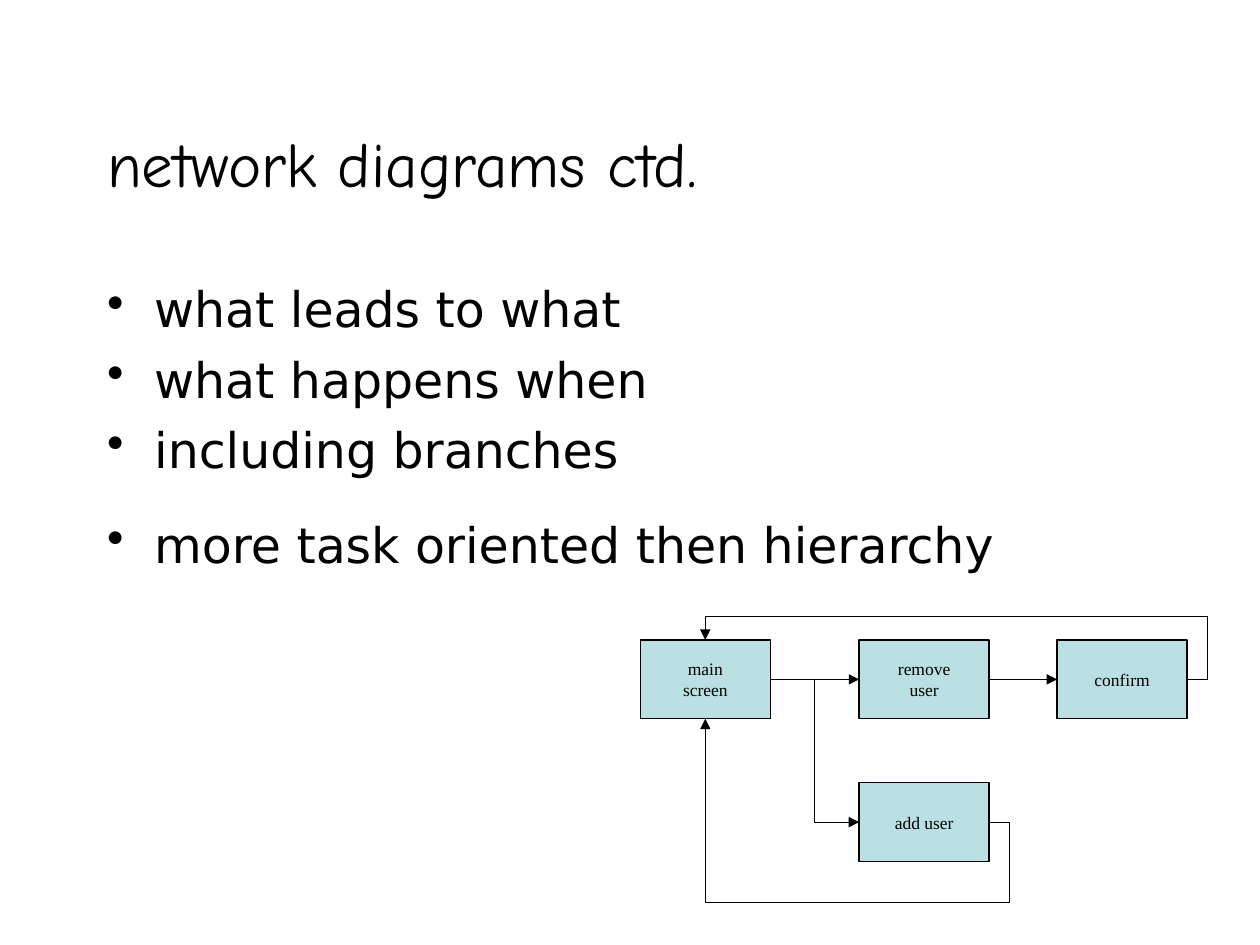
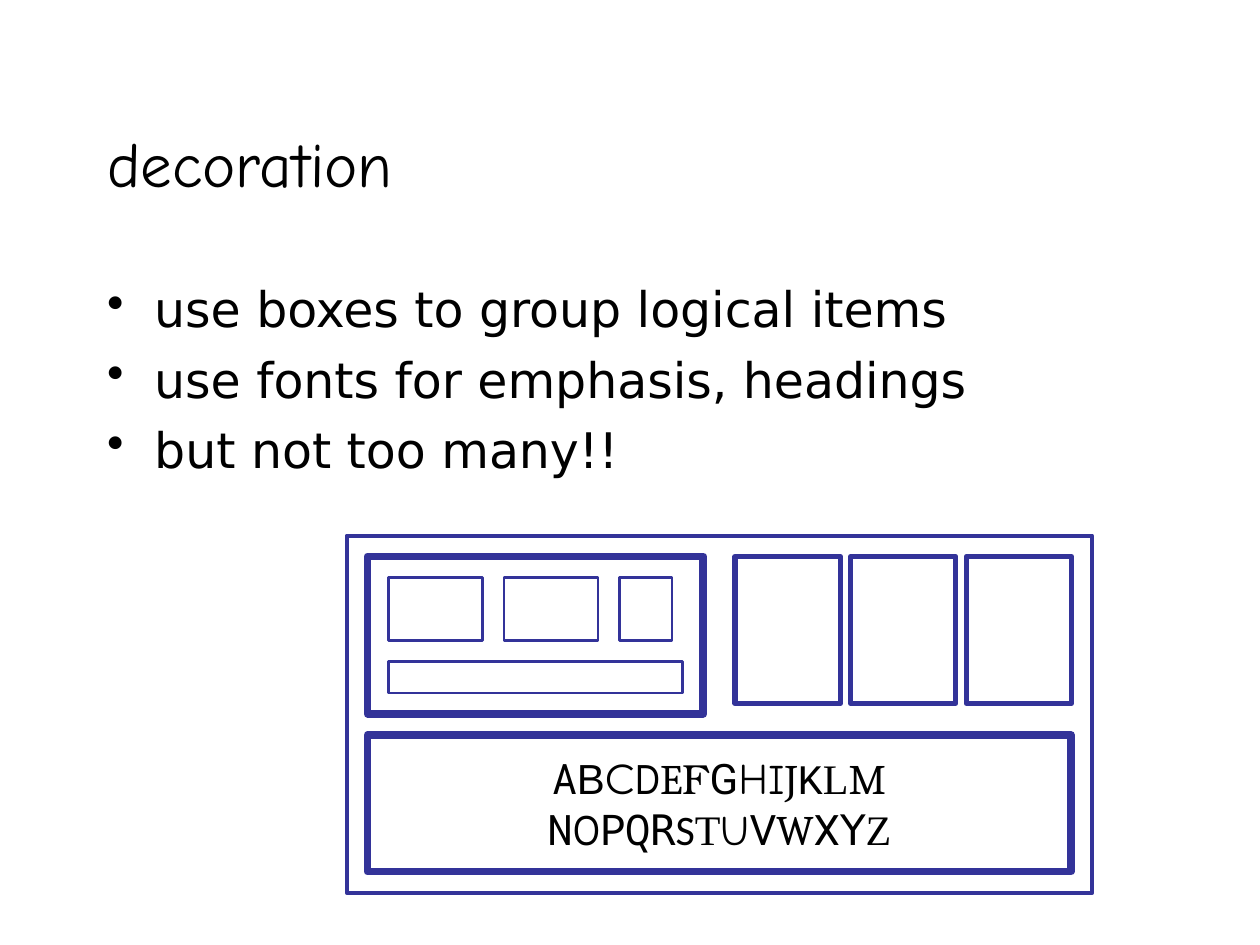
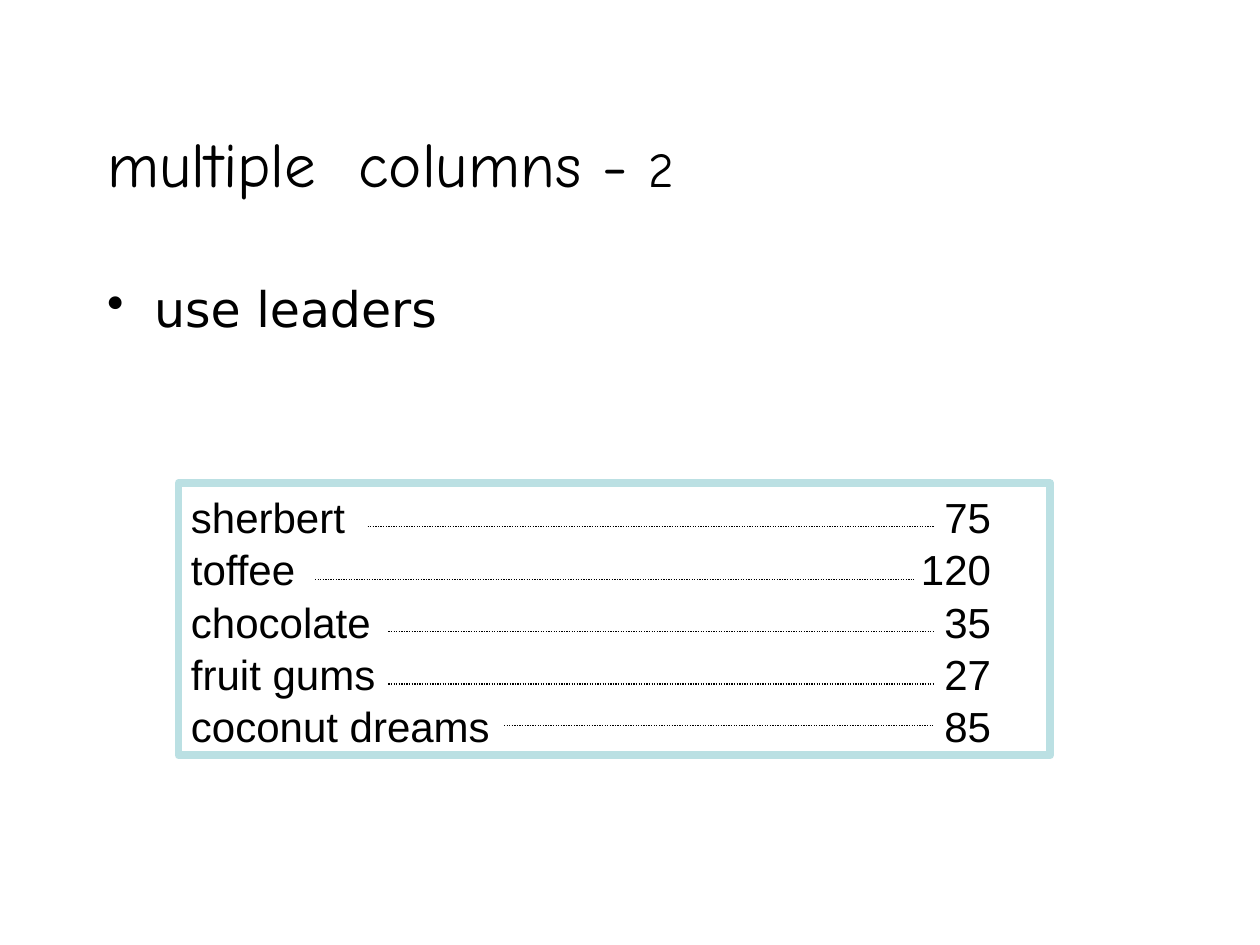
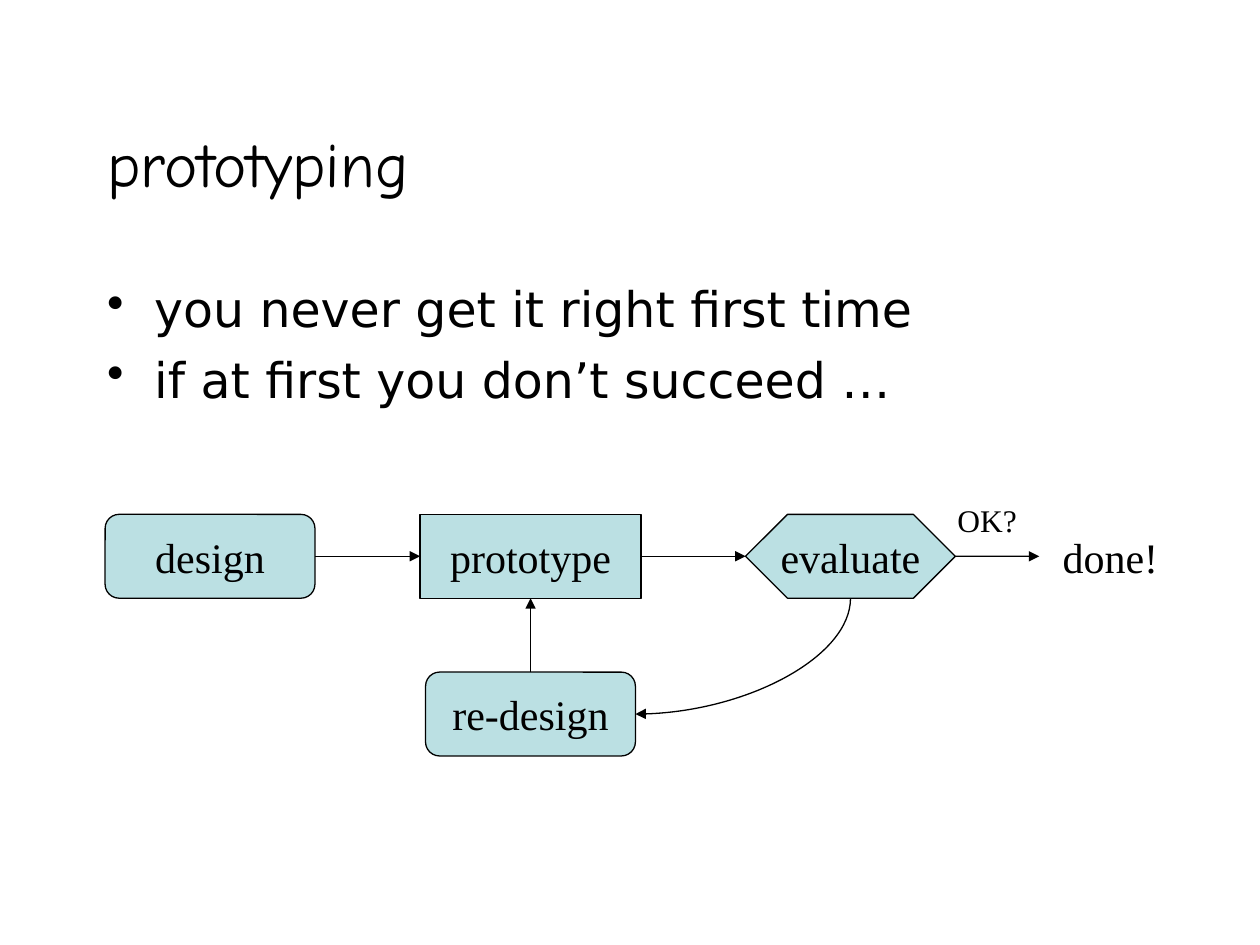
from pptx import Presentation
from pptx.dml.color import RGBColor
from pptx.enum.dml import MSO_LINE
from pptx.enum.shapes import MSO_CONNECTOR, MSO_SHAPE
from pptx.enum.text import MSO_ANCHOR, PP_ALIGN
from pptx.oxml.ns import qn
from pptx.util import Cm, Pt
from lxml import etree

BLACK = RGBColor(0x00, 0x00, 0x00)
WHITE = RGBColor(0xFF, 0xFF, 0xFF)
TEAL = RGBColor(0xBB, 0xE0, 0xE3)
NAVY = RGBColor(0x33, 0x33, 0x99)
RECT = MSO_SHAPE.RECTANGLE
PROCESS = MSO_SHAPE.FLOWCHART_PROCESS
ROUNDED = MSO_SHAPE.FLOWCHART_ALTERNATE_PROCESS
HEXAGON = MSO_SHAPE.FLOWCHART_PREPARATION
STRAIGHT, ELBOW, CURVE = MSO_CONNECTOR.STRAIGHT, MSO_CONNECTOR.ELBOW, MSO_CONNECTOR.CURVE
LEFT, CENTER = PP_ALIGN.LEFT, PP_ALIGN.CENTER
TOP_ANCHOR, MIDDLE = MSO_ANCHOR.TOP, MSO_ANCHOR.MIDDLE
TOP, WEST, BOTTOM, EAST = range(4)  # connection sites
TITLE_FONT, BODY_FONT, LABEL_FONT = "Comic Neue", "DejaVu Sans", "Times New Roman"

# Content: all lengths are centimetres
TITLE_BOX = (1.91, 1.69, 19.05, 3.18)
BODY_BOX = (1.91, 5.5, 21.59, 11.43)
BULLET_INDENT = 0.95
BULLET_GAP, WIDE_GAP = 6.5, 20.5  # points

NETWORK_TITLE = "network diagrams ctd."
NETWORK_POINTS = ["what leads to what", "what happens when", "including branches",
                  "more task oriented then hierarchy"]
SCREEN_SIZE = (2.62, 1.59)
SCREENS = {
    "main": (["main", "screen"], 12.91, 12.9),
    "remove": (["remove", "user"], 17.32, 12.9),
    "confirm": (["confirm"], 21.31, 12.9),
    "add": (["add user"], 17.32, 15.78),
}
# kind, from, site, to, site, preset, adjustments
SCREEN_LINKS = [
    (STRAIGHT, "main", EAST, "remove", WEST, None, ()),
    (ELBOW, "main", EAST, "add", WEST, "bentConnector3", (50000,)),
    (STRAIGHT, "remove", EAST, "confirm", WEST, None, ()),
    (ELBOW, "confirm", EAST, "main", TOP, "bentConnector4", (-4300, 160000)),
    (ELBOW, "add", EAST, "main", BOTTOM, "bentConnector4", (-7200, -78000)),
]

DECORATION_TITLE = "decoration"
DECORATION_POINTS = ["use boxes to group logical items",
                     "use fonts for emphasis, headings", "but not too many!!"]
PANEL = (6.99, 10.8, 15.03, 7.2)
GROUP_BOX = (7.41, 11.22, 6.77, 3.17)
ALPHABET_BOX = (7.41, 14.82, 14.18, 2.75)
COLUMN_BOX = (14.82, 11.22, 2.12, 2.96)
ITEM_TOP, ITEM_LEFT, ITEM_HEIGHT = 11.64, 7.83, 1.27
ITEM_WIDTHS = (1.9, 1.9, 1.06)
STRIP = (7.83, 13.33, 5.93, 0.64)
BOX_PITCH = 2.33
ALPHABET = [
    [("A", "Roboto Condensed"), ("B", "Arial"), ("C", "Montserrat"), ("D", "Arial Narrow"),
     ("E", "Cambria"), ("F", "TeX Gyre Bonum"), ("G", "Roboto"), ("H", "Quicksand"),
     ("I", "Comic Neue"), ("J", "Cambria"), ("K", "Courier New"), ("L", "Times New Roman"),
     ("M", "Cambria")],
    [("N", "Roboto Condensed"), ("O", "Arial Narrow"), ("P", "Lato"), ("Q", "Noto Sans Mono"),
     ("R", "DejaVu Sans Mono"), ("S", "Calibri"), ("T", "Times New Roman"), ("U", "Comic Neue"),
     ("V", "Roboto"), ("W", "Cambria"), ("X", "Roboto"), ("Y", "DejaVu Sans"),
     ("Z", "Times New Roman")],
]

COLUMNS_TITLE = [("multiple  columns - ", TITLE_FONT), ("2", TITLE_FONT, 28)]
COLUMNS_POINTS = ["use leaders"]
PRICE_BOX = (3.6, 9.74, 17.57, 5.49)
PRICE_TAB = 16.13
# item, price, leader start, leader end, leader height
PRICES = [
    ("sherbert", 75, 7.41, 18.84, 10.62),
    ("toffee", 120, 6.35, 18.42, 11.68),
    ("chocolate", 35, 7.83, 18.84, 12.73),
    ("fruit gums", 27, 7.83, 18.84, 13.79),
    ("coconut dreams", 85, 10.16, 18.84, 14.63),
]

PROTOTYPING_TITLE = "prototyping"
PROTOTYPING_POINTS = ["you never get it right first time", "if at first you don’t succeed …"]
STEP_HEIGHT = 1.69
STEPS = {  # shape, left, top, width
    "prototype": (PROCESS, 8.47, 10.37, 4.45),
    "evaluate": (HEXAGON, 15.03, 10.37, 4.23),
    "design": (ROUNDED, 2.12, 10.37, 4.23),
    "re-design": (ROUNDED, 8.58, 13.55, 4.23),
}
STEP_LINKS = [
    (STRAIGHT, "prototype", EAST, "evaluate", WEST),
    (STRAIGHT, "design", EAST, "prototype", WEST),
    (CURVE, "evaluate", BOTTOM, "re-design", EAST),
    (STRAIGHT, "re-design", TOP, "prototype", BOTTOM),
]
DONE_ARROW_END = 20.95
OUTCOMES = [("done!", 24, (21.17, 10.58, 2.44, 1.27)), ("OK?", 18, (19.05, 9.98, 1.7, 1.02))]


def write(sp, lines, font=LABEL_FONT, size=24, align=LEFT, anchor=TOP_ANCHOR, wrap=False,
          bullet=False, gaps=(), tab=None, spacing=None):
    """Fill sp; a line is a string or a list of (text, font[, size]) runs."""
    tf = sp.text_frame
    tf.word_wrap, tf.vertical_anchor = wrap, anchor
    for i, line in enumerate(lines):
        p = tf.add_paragraph() if i else tf.paragraphs[0]
        p.alignment = align
        if spacing:
            p.line_spacing = spacing
        if i and gaps:
            p.space_before = Pt(gaps[i])
        pPr = p._p.get_or_add_pPr()
        if bullet:
            pPr.set("marL", str(Cm(BULLET_INDENT)))
            pPr.set("indent", str(-Cm(BULLET_INDENT)))
            etree.SubElement(pPr, qn("a:buChar"), char="•")
        if tab:
            tabs = etree.SubElement(pPr, qn("a:tabLst"))
            etree.SubElement(tabs, qn("a:tab"), pos=str(Cm(tab)), algn="r")
        for text, face, *own_size in [(line, font)] if isinstance(line, str) else line:
            r = p.add_run()
            r.text = text
            r.font.name = face
            r.font.size = Pt(own_size[0] if own_size else size)
            r.font.color.rgb = BLACK


def add_text(s, box, lines, **fmt):
    write(s.shapes.add_textbox(*map(Cm, box)), lines, **fmt)


def add_box(s, kind, box, fill, line, weight=0.75):
    sp = s.shapes.add_shape(kind, *map(Cm, box))
    sp.shadow.inherit = False
    if fill is None:
        sp.fill.background()
    else:
        sp.fill.solid()
        sp.fill.fore_color.rgb = fill
    sp.line.color.rgb = line
    sp.line.width = Pt(weight)
    return sp


def add_line(s, kind=STRAIGHT, ends=(0, 0, 0, 0), arrow=True, dash=None):
    c = s.shapes.add_connector(kind, *map(Cm, ends))
    c.line.color.rgb = BLACK
    c.line.width = Pt(0.75)
    if dash:
        c.line.dash_style = dash
    spPr = c._element.spPr
    if arrow:
        etree.SubElement(spPr.find(qn("a:ln")), qn("a:tailEnd"), type="triangle")
    etree.SubElement(spPr, qn("a:effectLst"))
    return c


def link(s, shapes, kind, start, start_site, end, end_site, preset=None, adjust=()):
    c = add_line(s, kind)
    c.begin_connect(shapes[start], start_site)
    c.end_connect(shapes[end], end_site)
    geom = c._element.spPr.find(qn("a:prstGeom"))
    if preset:
        geom.set("prst", preset)
    for i, value in enumerate(adjust, 1):
        etree.SubElement(geom.find(qn("a:avLst")), qn("a:gd"), name=f"adj{i}", fmla=f"val {value}")
    return c


def turn_quarter(c):
    """Make a curve that leaves downwards and arrives from the right."""
    mid_x, mid_y = c.left + c.width // 2, c.top + c.height // 2
    c.width, c.height = c.height, c.width
    c.left, c.top = mid_x - c.width // 2, mid_y - c.height // 2
    xfrm = c._element.spPr.find(qn("a:xfrm"))
    xfrm.attrib.pop("flipH", None)
    xfrm.set("rot", "5400000")
    c._element.spPr.find(qn("a:prstGeom")).set("prst", "curvedConnector2")


def add_slide(prs, title, points, last_gap=BULLET_GAP):
    s = prs.slides.add_slide(prs.slide_layouts[6])
    add_text(s, TITLE_BOX, [title], font=TITLE_FONT, size=36, anchor=MIDDLE, wrap=True)
    gaps = [BULLET_GAP] * (len(points) - 1) + [last_gap]
    add_text(s, BODY_BOX, points, font=BODY_FONT, size=28, wrap=True, bullet=True, gaps=gaps)
    return s


def network_slide(prs):
    s = add_slide(prs, NETWORK_TITLE, NETWORK_POINTS, WIDE_GAP)
    screens = {}
    for name, (lines, left, top) in SCREENS.items():
        screens[name] = add_box(s, PROCESS, (left, top, *SCREEN_SIZE), TEAL, BLACK)
        write(screens[name], lines, size=10, align=CENTER, anchor=MIDDLE)
    for row in SCREEN_LINKS:
        link(s, screens, *row)


def decoration_slide(prs):
    s = add_slide(prs, DECORATION_TITLE, DECORATION_POINTS)
    add_box(s, RECT, PANEL, WHITE, NAVY, 2.25)
    add_box(s, RECT, GROUP_BOX, WHITE, NAVY, 4.5)
    sp = add_box(s, RECT, ALPHABET_BOX, WHITE, NAVY, 4.5)
    write(sp, ALPHABET, align=CENTER, anchor=MIDDLE)
    left, *rest = COLUMN_BOX
    for i, width in enumerate(ITEM_WIDTHS):
        add_box(s, RECT, (left + i * BOX_PITCH, *rest), WHITE, NAVY, 3)
        item = (ITEM_LEFT + i * BOX_PITCH, ITEM_TOP, width, ITEM_HEIGHT)
        add_box(s, RECT, item, WHITE, NAVY, 1.5)
    add_box(s, RECT, STRIP, WHITE, NAVY, 1.5)


def columns_slide(prs):
    s = add_slide(prs, COLUMNS_TITLE, COLUMNS_POINTS)
    sp = add_box(s, RECT, PRICE_BOX, None, TEAL, 4.5)
    rows = [f"{item}\t{price}" for item, price, *_ in PRICES]
    write(sp, rows, font="Arial", wrap=True, tab=PRICE_TAB, spacing=1.04)
    for _, _, start, end, y in PRICES:
        add_line(s, ends=(start, y, end, y), arrow=False, dash=MSO_LINE.ROUND_DOT)


def prototyping_slide(prs):
    s = add_slide(prs, PROTOTYPING_TITLE, PROTOTYPING_POINTS)
    steps = {}
    for name, (kind, left, top, width) in STEPS.items():
        steps[name] = add_box(s, kind, (left, top, width, STEP_HEIGHT), TEAL, BLACK)
        write(steps[name], [name], align=CENTER, anchor=MIDDLE)
    for row in STEP_LINKS:
        c = link(s, steps, *row)
        if row[0] == CURVE:
            turn_quarter(c)
    # Way out of the loop
    _, left, top, width = STEPS["evaluate"]
    y = top + STEP_HEIGHT / 2
    c = add_line(s, ends=(left + width, y, DONE_ARROW_END, y))
    c.begin_connect(steps["evaluate"], EAST)
    for text, size, box in OUTCOMES:
        add_text(s, box, [text], size=size)


def main():
    prs = Presentation()
    prs.slide_width, prs.slide_height = Cm(25.4), Cm(19.05)
    network_slide(prs)
    decoration_slide(prs)
    columns_slide(prs)
    prototyping_slide(prs)
    prs.save("out.pptx")


if __name__ == "__main__":
    main()
